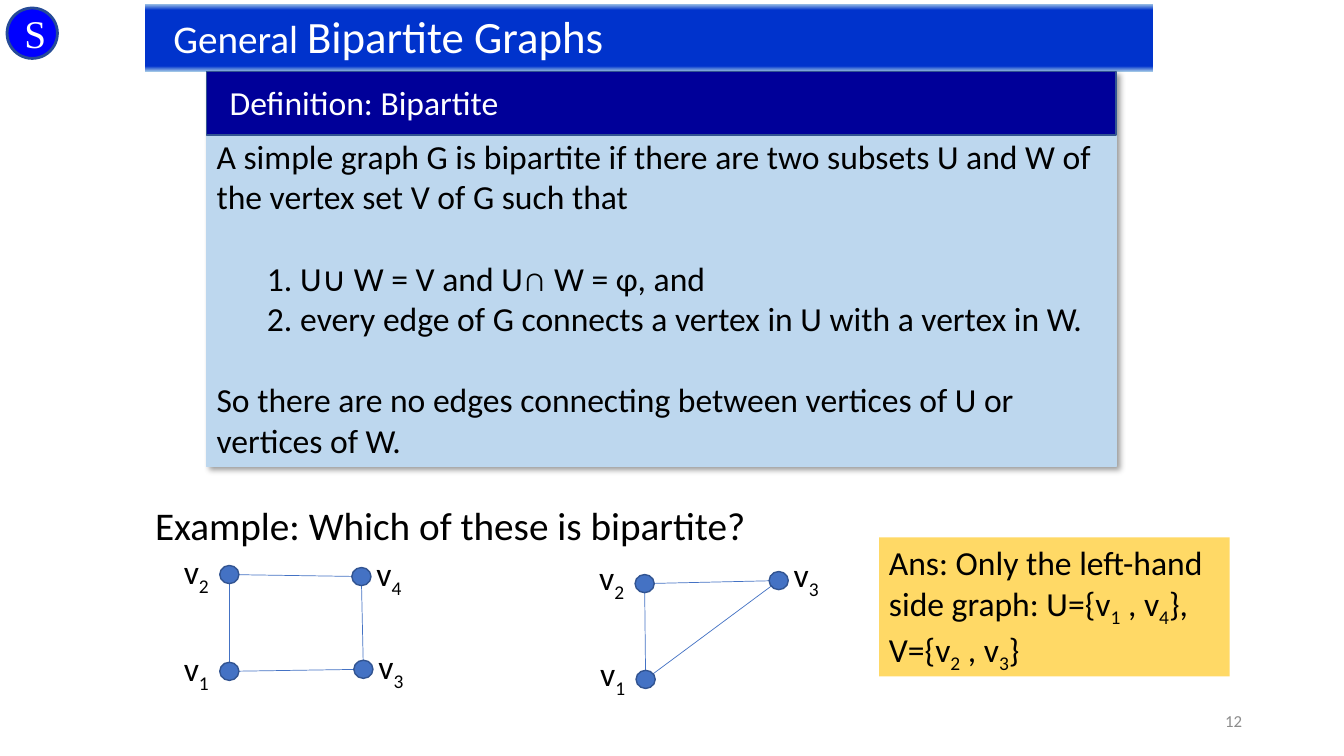
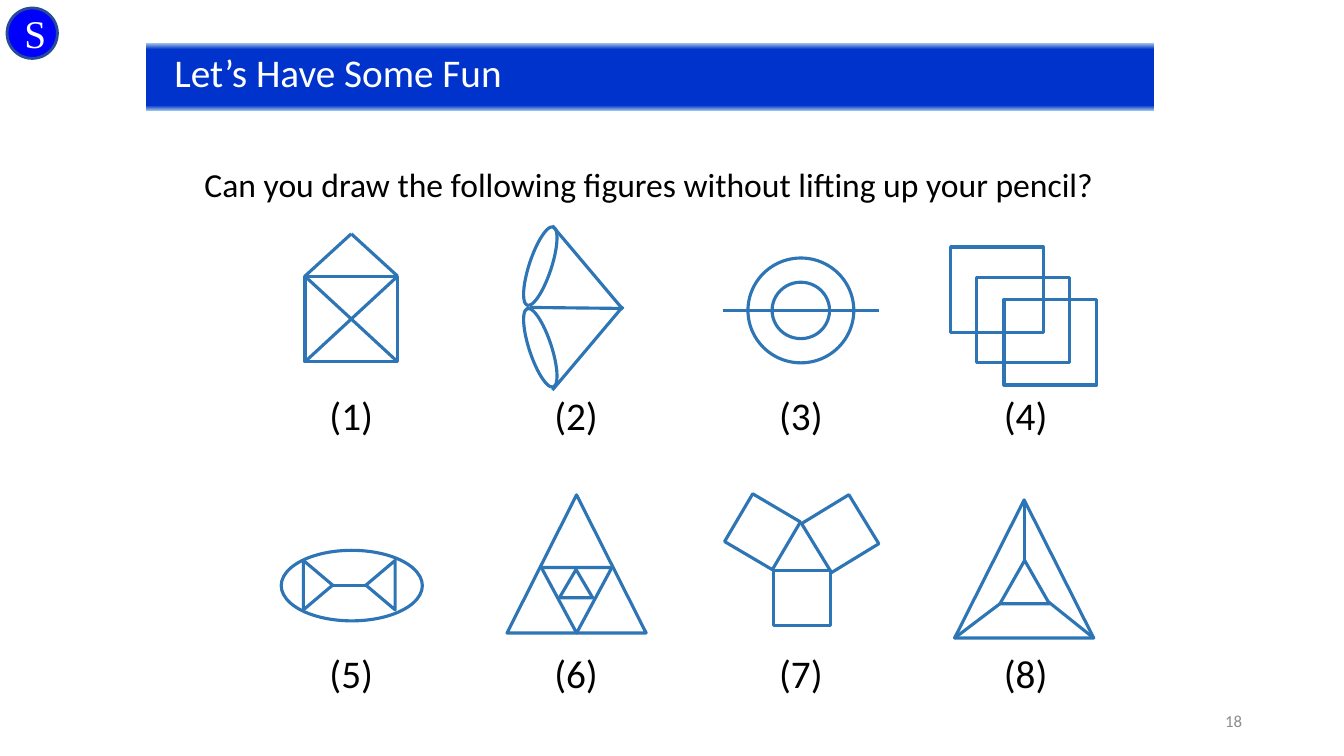
from copy import deepcopy
from itertools import combinations

from lxml import etree
from pptx import Presentation
from pptx import util as u
from pptx.dml.color import RGBColor
from pptx.enum import shapes, text
from pptx.oxml.ns import qn

# All lengths count cells of a square grid: 133.33 columns by 75 rows.
CELL = u.Inches(0.1)
COLUMNS, ROWS = 133.33, 75

COLORS = {
    "white": "FFFFFF", "black": "000000", "number": "8C8C8C",
    "band": "0033CC", "band edge": "9DC3E6",
    "badge": "0000FF", "badge line": "264B97",
    "panel": "BDD7EE", "heading": "000099", "answer": "FFD966",
    "vertex": "4472C4", "vertex line": "325491", "pencil": "2E75B6",
}
RGB = {name: RGBColor.from_string(value) for name, value in COLORS.items()}

KIND = shapes.MSO_SHAPE
RECT, OVAL, TRIANGLE = KIND.RECTANGLE, KIND.OVAL, KIND.ISOSCELES_TRIANGLE
LINE, TEXT = "line", "text"
ALIGN, ANCHOR = text.PP_ALIGN, text.MSO_ANCHOR


def draw(parent, kind, at, fill=None, line=None, weight=1, rotation=0):
    """Add a shape or text box (left, top, width, height) or a line (x1, y1, x2, y2)."""
    place = [round(value * CELL) for value in at]
    if kind == TEXT:
        return parent.shapes.add_textbox(*place)
    if kind == LINE:
        item = parent.shapes.add_connector(shapes.MSO_CONNECTOR.STRAIGHT, *place)
        etree.SubElement(item._element.spPr, qn("a:effectLst"))
    else:
        item = parent.shapes.add_shape(kind, *place)
        item.shadow.inherit = False
        item.rotation = rotation
        if fill:
            item.fill.solid()
            item.fill.fore_color.rgb = RGB[fill]
        else:
            item.fill.background()
    if line:
        item.line.color.rgb = RGB[line]
        item.line.width = u.Pt(weight)
    else:
        item.line.fill.background()
    return item


def write(box, paragraphs, size=24, color="black", face="Calibri", align=ALIGN.LEFT,
          anchor=ANCHOR.TOP, marked_size=None):
    """Fill a box; parts between bars are subscripts, or larger if marked_size is given."""
    frame = box.text_frame
    frame.word_wrap = True
    frame.vertical_anchor = anchor
    for index, content in enumerate(paragraphs):
        para = frame.paragraphs[0] if index == 0 else frame.add_paragraph()
        para.alignment = align
        for part, piece in enumerate(content.split("|")):
            if not piece:
                continue
            marked = part % 2 == 1
            span = para.add_run()
            span.text = piece
            points = marked_size if marked and marked_size else size
            for name, value in {"name": face, "size": u.Pt(points)}.items():
                setattr(span.font, name, value)
            span.font.color.rgb = RGB[color]
            if marked and not marked_size:
                span._r.get_or_add_rPr().set("baseline", "-25000")
    return frame


deck = Presentation()
deck.slide_width, deck.slide_height = round(COLUMNS * CELL), ROWS * CELL

# Shared parts: title band, slide number and badge.
pages = []
for title, number, left, top in [
    ("General |Bipartite Graphs|", "12", 14.4, 0.4),
    ("Let’s Have Some Fun", "18", 14.5, 4.3),
]:
    page = deck.slides.add_slide(deck.slide_layouts[6])
    pages.append(page)
    write(draw(page, TEXT, (94.2, 69.5, 30, 4)), [number], 12, "number",
          align=ALIGN.RIGHT, anchor=ANCHOR.MIDDLE)

    band = draw(page, RECT, (left, top, 100, 6.7))
    band.fill.gradient()
    band.fill.gradient_angle = 270
    stop_list = band._element.spPr.find(".//" + qn("a:gsLst"))
    stop_list.extend([deepcopy(stop) for stop in stop_list])
    stops = [(0, "band edge"), (0.09, "band"), (0.92, "band"), (1, "band edge")]
    for stop, (position, color) in zip(band.fill.gradient_stops, stops):
        stop.position = position
        stop.color.rgb = RGB[color]
    write(band, [title], 28, "white", marked_size=32).margin_left = round(2.8 * CELL)

    badge = draw(page, KIND.FLOWCHART_CONNECTOR, (0.7, 0.8, 5, 5), "badge", "badge line", 2)
    write(badge, ["S"], 28, "white", "Times New Roman", ALIGN.CENTER, ANCHOR.MIDDLE)

graph_page, puzzle_page = pages

# Definition panel
definition = graph_page.shapes.add_group_shape()
panel = draw(definition, RECT, (20.5, 7.1, 90.2, 39.2), "panel", "panel")
effects = panel._element.spPr.find(qn("a:effectLst"))
shadow = etree.SubElement(effects, qn("a:outerShdw"), blurRad=str(u.Pt(4)),
                          dist=str(u.Pt(3)), dir="2700000", algn="tl", rotWithShape="0")
shade = etree.SubElement(shadow, qn("a:srgbClr"), val=COLORS["black"])
etree.SubElement(shade, qn("a:alpha"), val="40000")
draw(definition, RECT, (20.5, 7.1, 90.2, 6.3), "heading", "vertex line")
write(draw(definition, TEXT, (21.8, 7.6, 68.8, 5)), ["Definition: Bipartite"], color="white")

body = write(draw(graph_page, TEXT, (20.5, 13, 90.2, 33.3)), [
    "A simple graph G is bipartite if there are two subsets U and W of",
    "the vertex set V of G such that",
    "U∪ W = V and U∩ W = φ, and",
    "every edge of G connects a vertex in U with a vertex in W.",
    "So there are no edges connecting between vertices of U or vertices of W.",
])
conditions = body.paragraphs[2:4]
for para in conditions:
    layout = para._p.get_or_add_pPr()
    layout.set("marL", str(u.Inches(0.83)))
    layout.set("indent", str(u.Inches(-0.33)))
    etree.SubElement(layout, qn("a:buFont"), typeface="Calibri")
    etree.SubElement(layout, qn("a:buAutoNum"), type="arabicPeriod")
for para in (conditions[0], body.paragraphs[4]):
    para.space_before = u.Pt(29.3)

# Example graphs: vertices by centre, then the edges between them
write(draw(graph_page, TEXT, (14.4, 49.2, 91, 5.7)),
      ["Example: Which of these is bipartite?"], 28)

DOT_WIDTH, DOT_HEIGHT = 1.9, 1.8
LABEL_LEFT, LABEL_RIGHT = -5.5, 0.5
square = {1: (22.75, 66.6), 2: (22.75, 57), 3: (36.05, 66.4), 4: (35.85, 57.2)}
triangle = {1: (64.05, 67.4), 2: (63.95, 57.9), 3: (77.25, 57.6)}
square_edges = [(1, 2), (2, 4), (4, 3), (3, 1)]
triangle_edges = list(combinations(triangle, 2))

for vertices, edges, rise in [(square, square_edges, 2.8), (triangle, triangle_edges, 3.1)]:
    for start, end in edges:
        draw(graph_page, LINE, vertices[start] + vertices[end], line="vertex", weight=0.5)
    for number, (x, y) in vertices.items():
        draw(graph_page, OVAL, (x - DOT_WIDTH / 2, y - DOT_HEIGHT / 2, DOT_WIDTH, DOT_HEIGHT),
             "vertex", "vertex line")
        side = LABEL_LEFT if number < 3 else LABEL_RIGHT
        write(draw(graph_page, TEXT, (x + side, y - rise, 7.5, 5)), [f"v|{number}|"])

write(draw(graph_page, RECT, (87.2, 53.3, 34.8, 13.8), "answer"),
      ["Ans: Only the left-hand side graph: U={v|1| , v|4|}, V={v|2| , v|3|}"])

# Pencil puzzles: each part is placed from its column's centre and its label's top
write(draw(puzzle_page, TEXT, (19.3, 15.8, 90.5, 5)),
      ["Can you draw the following figures without lifting up your pencil?"])

FIRST_CENTRE, COLUMN_STEP = 34.85, 22.3
FIRST_LABEL, ROW_STEP = 38.3, 25.6
FIGURES_PER_ROW = 4
figures = [
    [(RECT, -4.6, -10.9, 9.2, 8.5),
     (LINE, -4.6, -10.9, 4.6, -2.4),
     (LINE, -4.6, -2.4, 4.6, -10.9),
     (LINE, 0, -15.1, 4.6, -10.9),
     (LINE, -4.6, -10.9, 0, -15.1)],
    [(LINE, -4.55, -7.8, 4.65, -7.7),
     (LINE, -2.35, -15.9, 4.65, -7.6),
     (OVAL, -4.65, -16, 2.2, 8.2, 18.3),
     (OVAL, -4.65, -7.9, 2.2, 8.2, 341.7),
     (LINE, -2.35, 0.4, 4.65, -7.9)],
    [(OVAL, -2.85, -10.3, 5.7, 5.6),
     (OVAL, -5.25, -12.7, 10.5, 10.4),
     (LINE, -7.75, -7.5, 7.75, -7.5)],
    [(RECT, -7.45, -13.8, 9.2, 8.5),
     (RECT, -4.85, -10.8, 9.2, 8.5),
     (RECT, -2.15, -8.6, 9.2, 8.5)],
    [(LINE, -1.85, -5.8, 1.45, -5.8),
     (TRIANGLE, 0.45, -7.3, 4.9, 2.9, 270),
     (TRIANGLE, -5.75, -7.3, 4.9, 2.9, 90),
     (OVAL, -6.95, -9.3, 14, 7)],
    [(TRIANGLE, -6.85, -14.8, 13.8, 13.7),
     (TRIANGLE, -1.65, -7.4, 3.3, 2.8),
     (TRIANGLE, -3.45, -7.6, 7, 6.5, 180)],
    [(RECT, -2.75, -7.3, 5.7, 5.5),
     (RECT, -6.55, -13.9, 5.5, 5.5, 300.5),
     (RECT, 1.05, -13.7, 5.7, 5.5, 58.6)],
    [(TRIANGLE, -7.05, -14.3, 13.8, 13.7),
     (TRIANGLE, -2.55, -8.3, 4.9, 4.3),
     (LINE, -0.15, -14.2, -0.15, -8.3),
     (LINE, -2.55, -4, -7.05, -0.6),
     (LINE, 6.75, -0.6, 2.25, -4.2)],
]
for index, parts in enumerate(figures):
    row, column = divmod(index, FIGURES_PER_ROW)
    x, y = FIRST_CENTRE + column * COLUMN_STEP, FIRST_LABEL + row * ROW_STEP
    figure = puzzle_page.shapes.add_group_shape()
    for kind, left, top, third, fourth, *turn in parts:
        if kind == LINE:
            third, fourth = x + third, y + fourth
        draw(figure, kind, (x + left, y + top, third, fourth), line="pencil",
             weight=2.25, rotation=turn[0] if turn else 0)
    write(draw(figure, TEXT, (x - 4.65, y, 9.3, 5.7)), [f"({index + 1})"], 28,
          align=ALIGN.CENTER)

deck.save("out.pptx")
